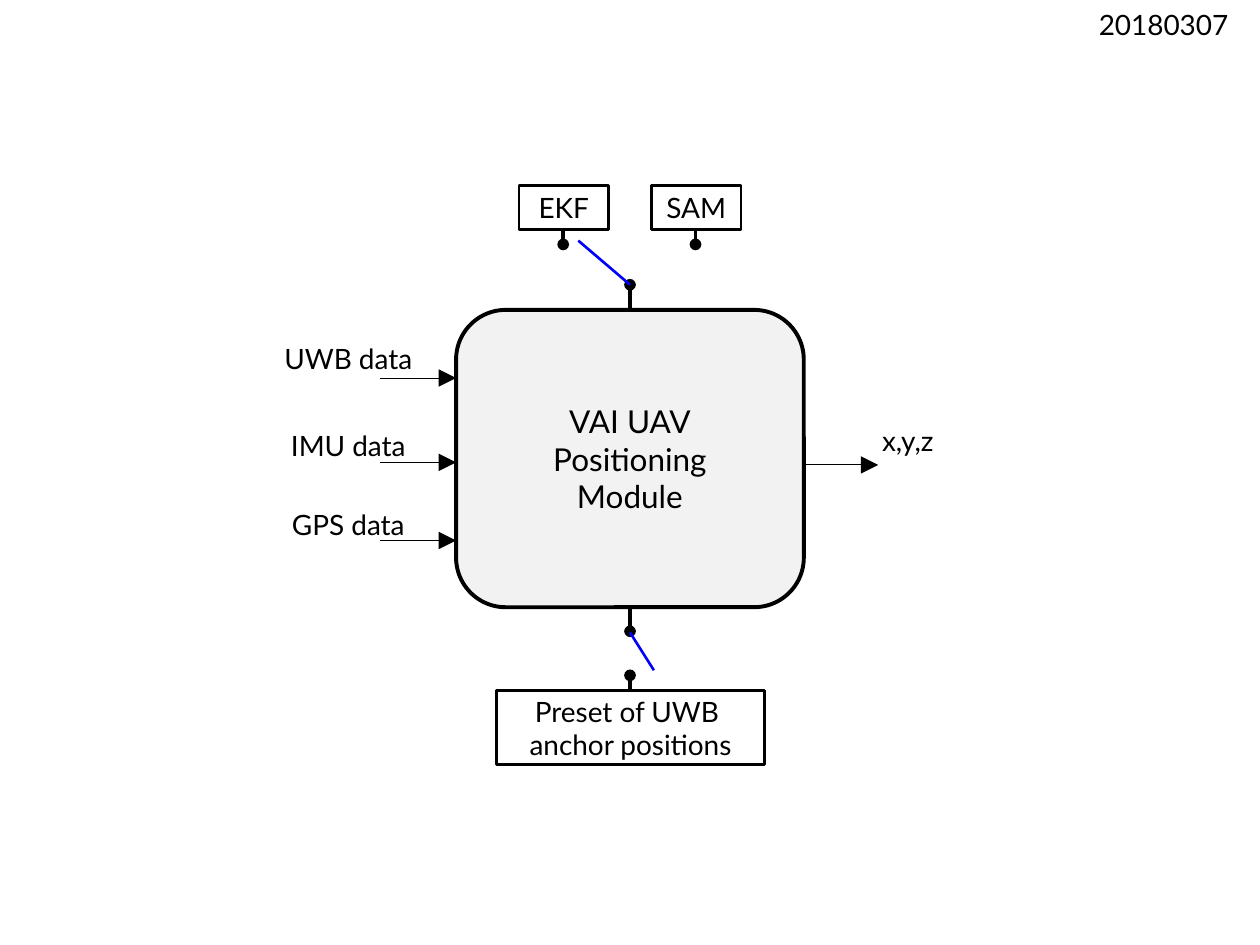
import pptx
import pptx.util
import pptx.dml.color
import pptx.enum.shapes
import pptx.enum.text
import pptx.oxml.ns
import lxml.etree

Inches = pptx.util.Inches
Pt = pptx.util.Pt
qn = pptx.oxml.ns.qn
Kind = pptx.enum.shapes.MSO_SHAPE
theme = {
    "font": "Lato", "text": 16, "title": 18,
    "ink": pptx.dml.color.RGBColor.from_string("000000"),
    "blue": pptx.dml.color.RGBColor.from_string("0000FF"),
    "pale": pptx.dml.color.RGBColor.from_string("F2F2F2"),
}

deck = pptx.Presentation()
deck.slide_width, deck.slide_height = Inches(10), Inches(7.5)
slide = deck.slides.add_slide(deck.slide_layouts[6])


def label(text, at, kind=None, size=theme["text"], fill=None, width=1.5):
    box = [Inches(n) for n in at]
    if kind is None:
        shape = slide.shapes.add_textbox(*box)
    else:
        shape = slide.shapes.add_shape(kind, *box)
        shape.shadow.inherit = False
        shape.line.color.rgb = theme["ink"]
        shape.line.width = Pt(width)
        if fill is None:
            shape.fill.background()
        else:
            shape.fill.solid()
            shape.fill.fore_color.rgb = fill
    frame = shape.text_frame
    frame.word_wrap = True
    frame.vertical_anchor = pptx.enum.text.MSO_ANCHOR.MIDDLE
    frame.margin_top = frame.margin_bottom = Inches(0.05)
    frame.text = text
    for para in frame.paragraphs:
        para.alignment = pptx.enum.text.PP_ALIGN.CENTER
        para.font.name = theme["font"]
        para.font.size = Pt(size)
        para.font.color.rgb = theme["ink"]
    return shape


def link(start, end, width, color=theme["ink"], tip=None, size="med"):
    line = slide.shapes.add_connector(
        pptx.enum.shapes.MSO_CONNECTOR.STRAIGHT,
        *[Inches(n) for n in (*start, *end)])
    line.line.color.rgb = color
    line.line.width = Pt(width)
    if tip:
        lxml.etree.SubElement(line.line._get_or_add_ln(), qn("a:tailEnd"),
                              type=tip, w=size, len=size)
    lxml.etree.SubElement(line._element.spPr, qn("a:effectLst"))


label("20180307", (8.47, 0, 1.53, 0.39))

left, top, wide, high = 3.62, 2.46, 2.76, 2.36
right, base, mid = left + wide, top + high, left + wide / 2
label("VAI UAV\nPositioning\nModule", (left, top, wide, high),
      Kind.ROUNDED_RECTANGLE, theme["title"], theme["pale"], 2.25)

for text, y, row in (("UWB data", 2.65, 3), ("IMU data", 3.34, 3.67),
                     ("GPS data", 3.97, 4.29)):
    label(text, (2, y, 1.53, 0.39))
    link((left - 0.6, row), (left, row), 0.5, tip="triangle", size="lg")

label("x,y,z", (6.8, 3.3, 0.81, 0.39))
link((right, 3.69), (right + 0.59, 3.69), 0.5, tip="triangle", size="lg")

for text, x in (("EKF", 4.12), ("SAM", 5.17)):
    label(text, (x, 1.47, 0.71, 0.35), Kind.RECTANGLE)
label("Preset of UWB \nanchor positions", (3.94, 5.48, 2.13, 0.59), Kind.RECTANGLE)

for x, start, end in ((4.47, 1.82, 1.94), (5.52, 1.82, 1.94), (mid, top, 2.26),
                      (mid, base, 5.01), (mid, 5.48, 5.36)):
    link((x, start), (x, end), 2.25, tip="oval")

link((4.59, 1.91), (mid, 2.26), 1.5, theme["blue"])
link((mid, 5.02), (5.19, 5.32), 1.5, theme["blue"])

deck.save("out.pptx")
